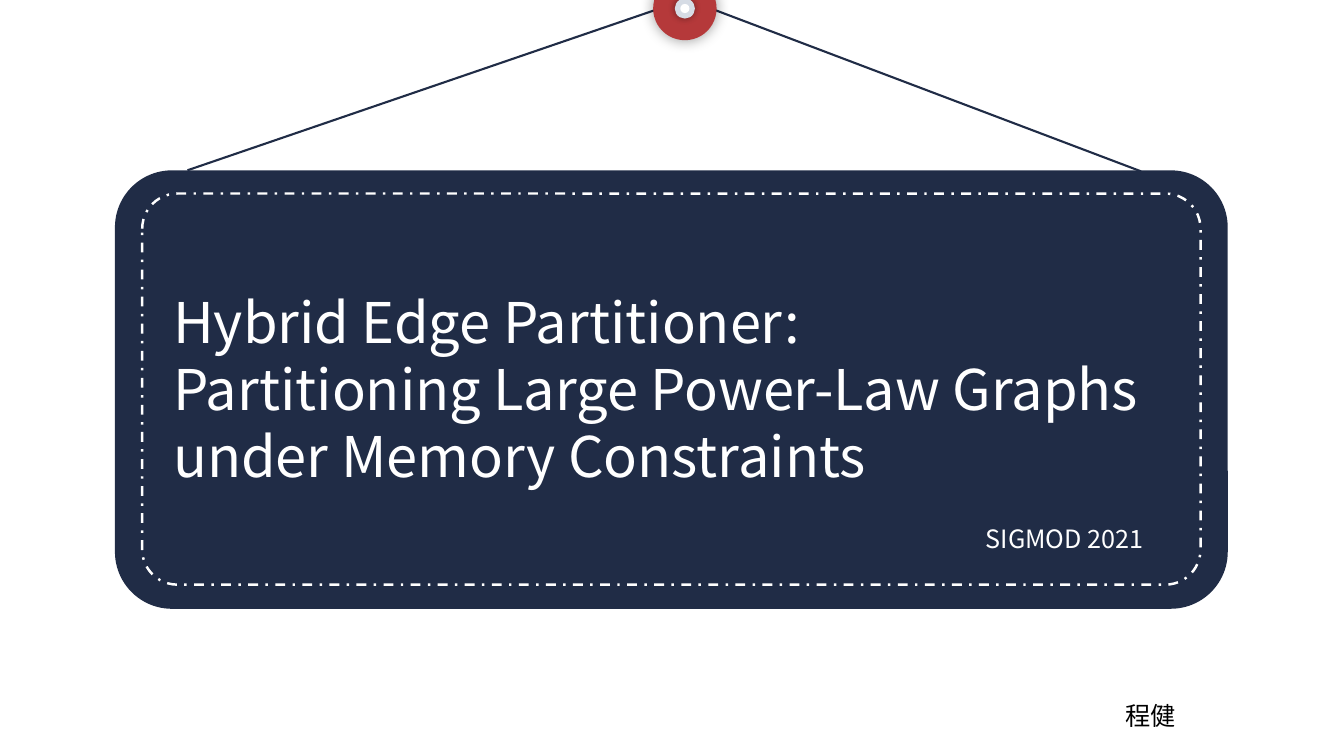
from dataclasses import dataclass

from lxml.etree import SubElement
from pptx import Presentation
from pptx.dml.color import RGBColor
from pptx.enum.dml import MSO_LINE
from pptx.enum.shapes import MSO_CONNECTOR, MSO_SHAPE
from pptx.enum.text import MSO_AUTO_SIZE
from pptx.oxml.ns import qn
from pptx.util import Inches, Pt

COLORS = {"navy": "202C46", "red": "B5393A", "silver": "D6DCE5", "white": "FFFFFF", "black": "000000"}
FONT = "Noto Sans CJK SC"
WIDTH, HEIGHT = Inches(13.333), Inches(7.5)
PIN_X, PIN_Y = 50.96, 1.13


@dataclass(frozen=True)
class Panel:
    left: float
    top: float
    width: float
    height: float
    corner: float
    fill: str | None = None
    line: str | None = None


@dataclass(frozen=True)
class Cord:
    start: tuple[float, float]
    end: tuple[float, float]


@dataclass(frozen=True)
class Disc:
    diameter: float
    fill: str
    blur: int = 0


@dataclass(frozen=True)
class Label:
    left: float
    top: float
    width: float
    height: float
    lines: tuple[str, ...]
    size: int
    color: str
    wrap: bool = True


PANELS = (
    Panel(8.55, 22.53, 82.8, 58, 0.13, fill="navy"),
    Panel(10.58, 25.6, 78.75, 51.73, 0.09, line="white"),
)
CORDS = (Cord((13.95, 22.53), (50.93, 0)), Cord((51.23, 0), (84.9, 22.67)))
DISCS = (Disc(4.72, "red", 10), Disc(1.5, "silver", 5), Disc(0.68, "white"))
TITLE = Label(
    12.15, 37.33, 76.2, 28.27,
    ("Hybrid Edge Partitioner:", "Partitioning Large Power-Law Graphs under Memory Constraints"),
    40, "white",
)
CAPTIONS = (
    Label(83.02, 92, 6.38, 5.33, ("程健",), 18, "black"),
    Label(72.6, 68.53, 14.4, 5.33, ("SIGMOD 2021",), 18, "white", wrap=False),
)


def across(share: float) -> int:
    return round(WIDTH * share / 100)


def down(share: float) -> int:
    return round(HEIGHT * share / 100)


def color(name: str) -> RGBColor:
    return RGBColor.from_string(COLORS[name])


def draw_panel(slide, panel: Panel) -> None:
    shape = slide.shapes.add_shape(
        MSO_SHAPE.ROUNDED_RECTANGLE,
        across(panel.left), down(panel.top), across(panel.width), down(panel.height),
    )
    shape.adjustments[0] = panel.corner
    shape.shadow.inherit = False
    if panel.fill:
        shape.fill.solid()
        shape.fill.fore_color.rgb = color(panel.fill)
    else:
        shape.fill.background()
    if panel.line:
        shape.line.color.rgb = color(panel.line)
        shape.line.width = Pt(1.75)
        shape.line.dash_style = MSO_LINE.DASH_DOT
    else:
        shape.line.fill.background()


def draw_cord(slide, cord: Cord) -> None:
    (start_x, start_y), (end_x, end_y) = cord.start, cord.end
    connector = slide.shapes.add_connector(
        MSO_CONNECTOR.STRAIGHT, across(start_x), down(start_y), across(end_x), down(end_y)
    )
    connector.line.color.rgb = color("navy")
    connector.line.width = Pt(1.5)
    SubElement(connector._element.spPr, qn("a:effectLst"))


def draw_disc(slide, disc: Disc) -> None:
    diameter = across(disc.diameter)
    shape = slide.shapes.add_shape(
        MSO_SHAPE.OVAL,
        across(PIN_X) - diameter // 2, down(PIN_Y) - diameter // 2, diameter, diameter,
    )
    shape.fill.solid()
    shape.fill.fore_color.rgb = color(disc.fill)
    shape.line.fill.background()
    shape.shadow.inherit = False
    if disc.blur:
        effects = shape._element.spPr.find(qn("a:effectLst"))
        shadow = SubElement(effects, qn("a:outerShdw"), blurRad=str(Pt(disc.blur)), algn="ctr", rotWithShape="0")
        tint = SubElement(shadow, qn("a:srgbClr"), val=COLORS["black"])
        SubElement(tint, qn("a:alpha"), val="40000")


def draw_label(slide, label: Label) -> None:
    box = slide.shapes.add_textbox(
        across(label.left), down(label.top), across(label.width), down(label.height)
    )
    frame = box.text_frame
    frame.word_wrap = label.wrap
    frame.auto_size = MSO_AUTO_SIZE.SHAPE_TO_FIT_TEXT
    frame.text = "\n".join(label.lines)
    for paragraph in frame.paragraphs:
        paragraph.font.name = FONT
        paragraph.font.size = Pt(label.size)
        paragraph.font.color.rgb = color(label.color)
        defaults = paragraph._p.pPr.find(qn("a:defRPr"))
        SubElement(defaults, qn("a:ea"), typeface=FONT)


def main() -> None:
    """Build the title slide: a sign hanging by two cords from a pin."""
    presentation = Presentation()
    presentation.slide_width, presentation.slide_height = WIDTH, HEIGHT
    slide = presentation.slides.add_slide(presentation.slide_layouts[6])
    for panel in PANELS:
        draw_panel(slide, panel)
    draw_label(slide, TITLE)
    for cord in CORDS:
        draw_cord(slide, cord)
    for disc in DISCS:
        draw_disc(slide, disc)
    for caption in CAPTIONS:
        draw_label(slide, caption)
    presentation.save("out.pptx")


if __name__ == "__main__":
    main()
